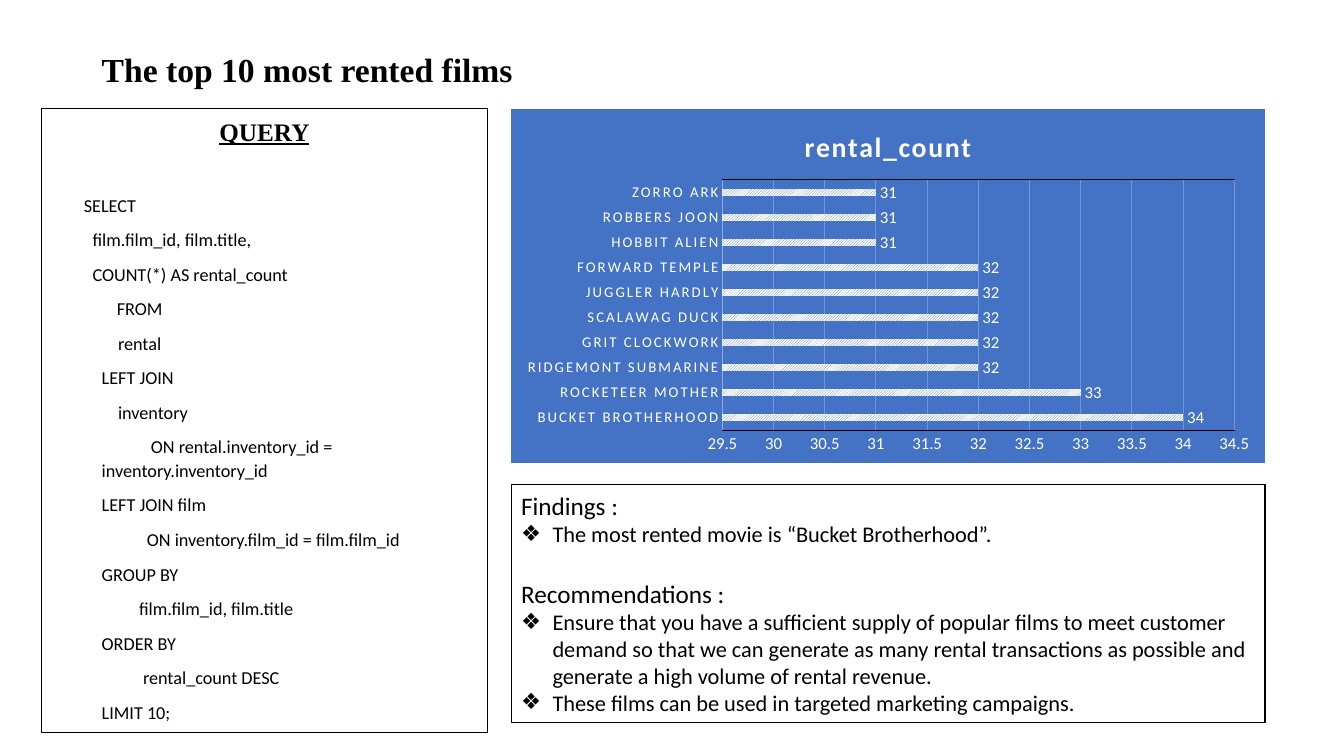
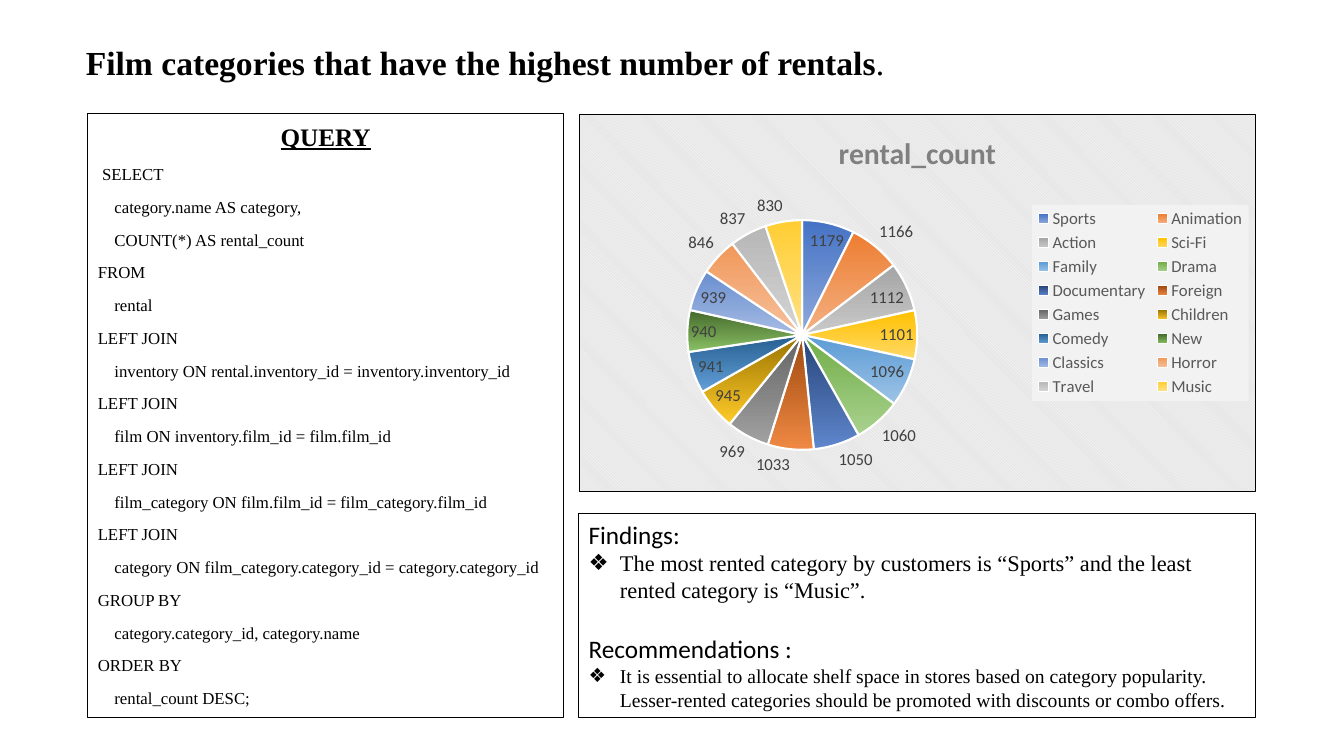
"""Build two slides on film rentals, each with a query, a chart and findings."""
import pptx
import pptx.chart.data
import pptx.dml.color
import pptx.enum.chart
import pptx.enum.dml
import pptx.enum.text
import pptx.oxml
import pptx.oxml.ns
import pptx.util

Cm = pptx.util.Cm
Pt = pptx.util.Pt
RGBColor = pptx.dml.color.RGBColor
qn = pptx.oxml.ns.qn

BLACK = RGBColor(0x00, 0x00, 0x00)
WHITE = RGBColor(0xFF, 0xFF, 0xFF)
BLUE = RGBColor(0x44, 0x72, 0xC4)
PALE = RGBColor(0x8F, 0xAA, 0xDC)
GRID = RGBColor(0x73, 0x95, 0xD3)
GREY = RGBColor(0x80, 0x80, 0x80)
SLATE = RGBColor(0x59, 0x59, 0x59)
DARK = RGBColor(0x40, 0x40, 0x40)
MIST = RGBColor(0xE6, 0xE6, 0xE6)
FOG = RGBColor(0xF2, 0xF2, 0xF2)

SERIF = "Times New Roman"
SANS = "Calibri"
COUNT = "rental_count"
LEFT = pptx.enum.text.PP_ALIGN.LEFT
CENTER = pptx.enum.text.PP_ALIGN.CENTER

FILMS = [
    ("BUCKET BROTHERHOOD", 34), ("ROCKETEER MOTHER", 33),
    ("RIDGEMONT SUBMARINE", 32), ("GRIT CLOCKWORK", 32),
    ("SCALAWAG DUCK", 32), ("JUGGLER HARDLY", 32), ("FORWARD TEMPLE", 32),
    ("HOBBIT ALIEN", 31), ("ROBBERS JOON", 31), ("ZORRO ARK", 31),
]
KINDS = [
    ("Sports", 1179, "4472C4", "8FAADC"),
    ("Animation", 1166, "ED7D31", "F4B183"),
    ("Action", 1112, "A5A5A5", "C9C9C9"),
    ("Sci-Fi", 1101, "FFC000", "FFD966"),
    ("Family", 1096, "5B9BD5", "9DC3E6"),
    ("Drama", 1060, "70AD47", "A9D18E"),
    ("Documentary", 1050, "264478", "5F86CC"),
    ("Foreign", 1033, "9E480E", "EF8944"),
    ("Games", 969, "636363", "A1A1A1"),
    ("Children", 945, "997300", "FFCA29"),
    ("Comedy", 941, "255E91", "63A0D7"),
    ("New", 940, "43682B", "89C064"),
    ("Classics", 939, "698ED0", "A5BBE3"),
    ("Horror", 846, "F1975A", "F6C19C"),
    ("Travel", 837, "B7B7B7", "D4D4D4"),
    ("Music", 830, "FFCD33", "FFE185"),
]
FILM_CODE = [
    ("SELECT", 0.82, 0), ("film.film_id, film.title,", 1.04, 0),
    ("COUNT(*) AS rental_count", 1.04, 0), ("FROM", 1.65, 0),
    ("rental", 1.68, 0), ("LEFT JOIN", 1.27, 0), ("inventory", 1.68, 0),
    ("ON rental.inventory_id = inventory.inventory_id", 1.27, 1.24),
    ("LEFT JOIN film", 1.27, 0),
    ("ON inventory.film_id = film.film_id", 2.41, 0),
    ("GROUP BY", 1.27, 0), ("film.film_id, film.title", 2.21, 0),
    ("ORDER BY", 1.27, 0), ("rental_count DESC", 2.31, 0),
    ("LIMIT 10;", 1.27, 0),
]
KIND_CODE = [
    ("SELECT", 0.11, 0), ("category.name AS category,", 0.42, 0),
    ("COUNT(*) AS rental_count", 0.42, 0), ("FROM", 0, 0),
    ("rental", 0.42, 0), ("LEFT JOIN", 0, 0),
    ("inventory ON rental.inventory_id = inventory.inventory_id", 0.42, 0),
    ("LEFT JOIN", 0, 0),
    ("film ON inventory.film_id = film.film_id", 0.42, 0),
    ("LEFT JOIN", 0, 0),
    ("film_category ON film.film_id = film_category.film_id", 0.42, 0),
    ("LEFT JOIN", 0, 0),
    ("category ON film_category.category_id = category.category_id", 0.42, 0),
    ("GROUP BY", 0, 0), ("category.category_id, category.name", 0.42, 0),
    ("ORDER BY", 0, 0), ("rental_count DESC;", 0.42, 0),
]


def style(font, size, color, name=SANS, bold=False):
    """Set the look of a font."""
    font.name, font.size, font.bold = name, Pt(size), bold
    font.color.rgb = color


def write(par, text, size, name=SANS, bold=False):
    """Add one black run to a paragraph."""
    run = par.add_run()
    run.text = text
    style(run.font, size, BLACK, name, bold)
    return run


def frame(holder, spot, line=True):
    """Move a placeholder and return its text frame."""
    holder.left, holder.top, holder.width, holder.height = map(Cm, spot)
    if line:
        holder.line.color.rgb = BLACK
        holder.line.width = Pt(0.75)
    text = holder.text_frame
    text.word_wrap = True
    text.auto_size = pptx.enum.text.MSO_AUTO_SIZE.NONE
    return text


def new_par(text, left=0, first=0, mark=None, align=LEFT):
    """Return the next paragraph with its indents and bullet set."""
    par = text.paragraphs[0]
    if par.runs:
        par = text.add_paragraph()
    par.alignment = align
    par.space_before = par.space_after = Pt(0)
    props = par._p.get_or_add_pPr()
    props.set("marL", str(Cm(left)))
    props.set("indent", str(Cm(first)))
    if mark:
        props.append(make(f'<a:buChar {{ns}} char="{mark}"/>'))
    else:
        props.append(make("<a:buNone {ns}/>"))
    return par


def make(xml):
    """Turn marked-up text into an element."""
    return pptx.oxml.parse_xml(xml.format(ns=pptx.oxml.ns.nsdecls("a", "c")))


def add_title(slide, spot, *parts):
    """Fill the title with pairs of text and boldness."""
    text = frame(slide.shapes.title, spot, line=False)
    text.vertical_anchor = pptx.enum.text.MSO_ANCHOR.MIDDLE
    par = new_par(text)
    for words, bold in parts:
        write(par, words, 24, SERIF, bold)


def add_query(slide, spot, lines, font, size, gap):
    """Fill the left box with a heading and code lines."""
    text = frame(slide.placeholders[1], spot)
    head = new_par(text, align=CENTER)
    write(head, "QUERY", 18, SERIF, True).font.underline = True
    head.line_spacing, head.space_after = 1.07, Pt(gap)
    for words, left, first in lines:
        par = new_par(text, left, first)
        write(par, words, size, font)
        par.line_spacing, par.space_after = 1.07, Pt(8)


def add_notes(slide, spot, font, *groups):
    """Fill the right box with headed lists of points."""
    text = frame(slide.placeholders[2], spot)
    for rank, (head, size, points) in enumerate(groups):
        par = new_par(text)
        write(par, head, 18)
        par.space_before = Pt(22 if rank else 0)
        for point in points:
            write(new_par(text, 0.79, -0.79, "❖"), point, size, font)


def place(part, index, left, top, width, height):
    """Give a chart part a fixed place within the chart."""
    for old in part.findall(qn("c:layout")):
        part.remove(old)
    inner = '<c:layoutTarget val="inner"/>' if index == 0 else ""
    part.insert(index, make(
        f"<c:layout {{ns}}><c:manualLayout>{inner}"
        '<c:xMode val="edge"/><c:yMode val="edge"/>'
        f'<c:x val="{left}"/><c:y val="{top}"/>'
        f'<c:w val="{width}"/><c:h val="{height}"/>'
        "</c:manualLayout></c:layout>"))


def solid(color):
    """Return the markup of a plain fill."""
    return f'<a:solidFill><a:srgbClr val="{color}"/></a:solidFill>'


def look(fill, line=None):
    """Return shape properties with a fill and a line."""
    edge = solid(line) if line is not None else "<a:noFill/>"
    return make(f'<c:spPr {{ns}}>{fill}<a:ln w="9525">{edge}</a:ln></c:spPr>')


def add_chart(slide, kind, spot, rows, size, color, fill, line):
    """Add a titled chart of one series on a filled ground."""
    data = pptx.chart.data.CategoryChartData()
    data.categories = [row[0] for row in rows]
    data.add_series(COUNT, [row[1] for row in rows])
    chart = slide.shapes.add_chart(kind, *map(Cm, spot), data).chart
    style(chart.font, 10, BLACK)
    chart.has_title = True
    par = chart.chart_title.text_frame.paragraphs[0]
    run = par.add_run()
    run.text = COUNT
    style(run.font, size, color, bold=True)
    chart.element.find(qn("c:chart")).addnext(look(fill, line))
    return chart


def label(plot, color, spot):
    """Show the values of a plot."""
    plot.has_data_labels = True
    labels = plot.data_labels
    labels.show_value = True
    labels.position = spot
    style(labels.font, 12, color)


def add_bars(slide, spot):
    """Add the bar chart of films."""
    enum = pptx.enum.chart
    chart = add_chart(slide, enum.XL_CHART_TYPE.BAR_CLUSTERED, spot, FILMS,
                      19.9, WHITE, solid(BLUE), BLUE)
    chart.has_legend = False
    plot = chart.plots[0]
    plot.gap_width, plot.overlap = 269, -20
    plot.vary_by_categories = False
    label(plot, WHITE, enum.XL_LABEL_POSITION.OUTSIDE_END)
    bars = plot.series[0]
    bars.invert_if_negative = False
    fill = bars.format.fill
    fill.patterned()
    fill.pattern = pptx.enum.dml.MSO_PATTERN.LIGHT_UPWARD_DIAGONAL
    fill.fore_color.rgb, fill.back_color.rgb = BLUE, WHITE
    names, scale = chart.category_axis, chart.value_axis
    for axis, size in ((names, 10.6), (scale, 12)):
        axis.major_tick_mark = axis.minor_tick_mark = enum.XL_TICK_MARK.NONE
        style(axis.tick_labels.font, size, WHITE)
    names.format.line.color.rgb = PALE
    names.format.line.width = Pt(0.25)
    names.has_major_gridlines = False
    scale.format.line.fill.background()
    scale.minimum_scale, scale.maximum_scale = 29.5, 34.5
    scale.major_unit = 0.5
    scale.tick_labels.number_format = "General"
    scale.tick_labels.number_format_is_linked = False
    scale.major_gridlines.format.line.color.rgb = GRID
    scale.major_gridlines.format.line.width = Pt(0.75)
    root = chart.element
    root.find(f".//{qn('c:catAx')}//{qn('a:defRPr')}").set("spc", "150")
    root.find(f".//{qn('c:title')}//{qn('a:rPr')}").set("spc", "100")
    area = root.find(f".//{qn('c:plotArea')}")
    place(area, 0, 0.28, 0.2, 0.68, 0.71)
    area.append(look("<a:noFill/>", BLACK))


def add_pie(slide, spot):
    """Add the pie chart of film categories."""
    enum = pptx.enum.chart
    ground = (f'<a:pattFill prst="dkDnDiag"><a:fgClr><a:srgbClr val="{WHITE}"/>'
              f'</a:fgClr><a:bgClr><a:srgbClr val="{MIST}"/></a:bgClr>'
              "</a:pattFill>")
    chart = add_chart(slide, enum.XL_CHART_TYPE.PIE, spot, KINDS,
                      21.3, GREY, ground, BLACK)
    plot = chart.plots[0]
    plot.vary_by_categories = True
    label(plot, DARK, enum.XL_LABEL_POSITION.BEST_FIT)
    for rank, (_, _, *shades) in enumerate(KINDS):
        form = plot.series[0].points[rank].format
        form.fill.gradient()
        form.fill.gradient_angle = 270
        for stop, shade in zip(form.fill.gradient_stops, shades):
            stop.color.rgb = RGBColor.from_string(shade)
        form.line.color.rgb = WHITE
        form.line.width = Pt(1.5)
    chart.has_legend = True
    chart.legend.position = enum.XL_LEGEND_POSITION.RIGHT
    chart.legend.include_in_layout = False
    style(chart.legend.font, 12, SLATE)
    key = chart.element.find(f".//{qn('c:legend')}")
    place(key, 1, 0.67, 0.24, 0.32, 0.52)
    key.find(qn("c:overlay")).addnext(look(solid(FOG)))
    area = chart.element.find(f".//{qn('c:plotArea')}")
    place(area, 0, 0.16, 0.28, 0.34, 0.61)


def main():
    """Build and save the slides."""
    deck = pptx.Presentation()
    deck.slide_width, deck.slide_height = Cm(33.87), Cm(19.05)
    films, kinds = (deck.slides.add_slide(deck.slide_layouts[3]) for _ in "12")

    add_title(films, (2.31, 1.1, 17, 1.27),
              ("The top 10 most rented films", True))
    add_query(films, (1.04, 2.74, 11.25, 15.72), FILM_CODE, SANS, 13, 33)
    add_bars(films, (12.88, 2.74, 19, 8.92))
    add_notes(films, (12.88, 12.22, 19, 5.99), SANS, (
        "Findings :", 16, ["The most rented movie is “Bucket Brotherhood”."],
    ), ("Recommendations :", 16, [
        "Ensure that you have a sufficient supply of popular films to meet "
        "customer demand so that we can generate as many rental transactions "
        "as possible and generate a high volume of rental revenue.",
        "These films can be used in targeted marketing campaigns."]))

    add_title(kinds, (1.91, 0.94, 22.4, 1.27), (
        "Film categories that have the highest number of rentals", True),
        (".", False))
    add_query(kinds, (2.21, 2.87, 11.99, 15.21), KIND_CODE, SERIF, 12, 8)
    add_pie(kinds, (14.58, 2.87, 17.07, 9.53))
    add_notes(kinds, (14.58, 12.95, 17.07, 5.13), SERIF, ("Findings:", 16, [
        "The most rented category by customers is “Sports” and the least "
        "rented category is “Music”."]), ("Recommendations :", 14, [
            "It is essential to allocate shelf space in stores based on "
            "category popularity. Lesser-rented categories should be promoted "
            "with discounts or combo offers."]))
    deck.save("out.pptx")


if __name__ == "__main__":
    main()
